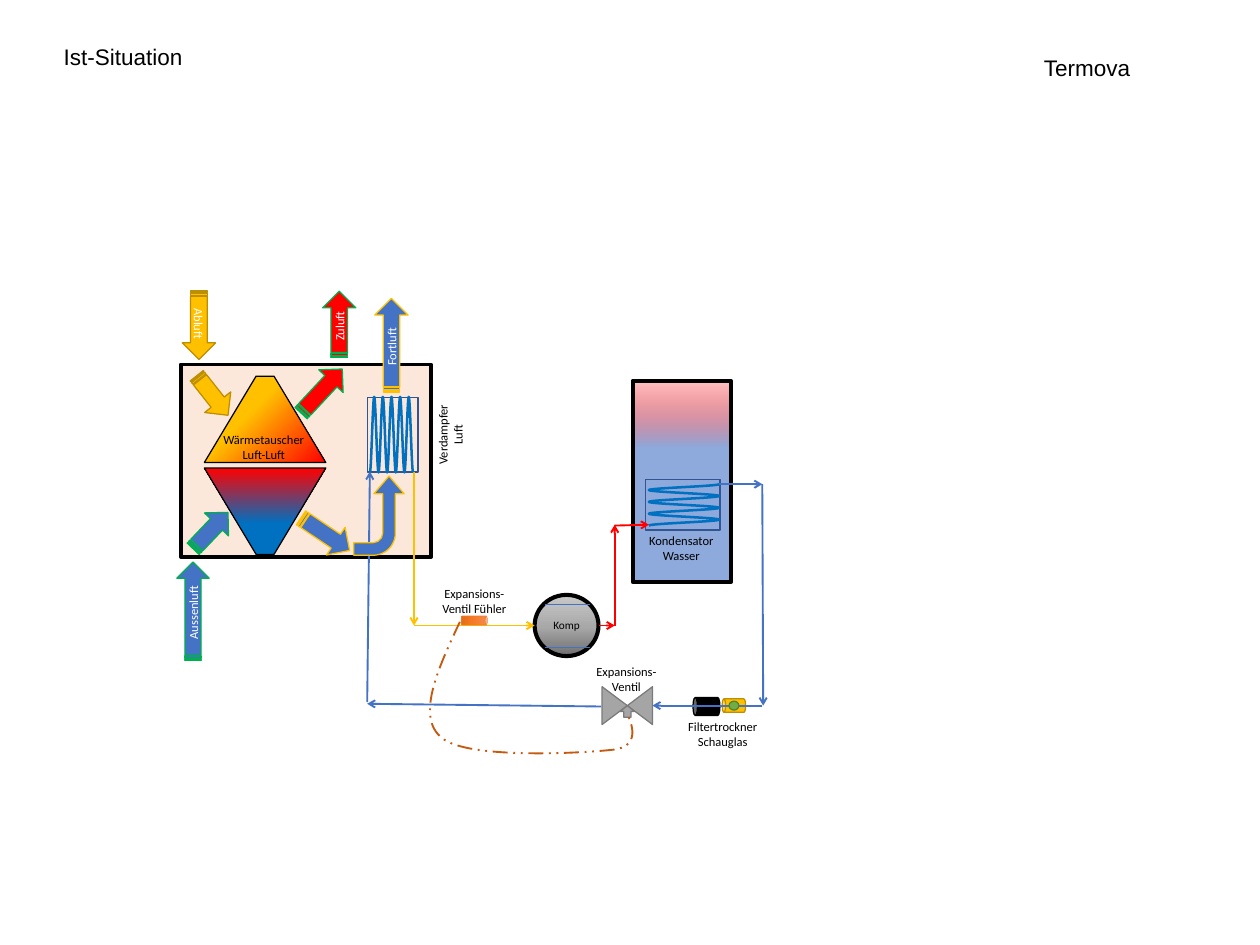
from dataclasses import dataclass

from lxml import etree
from pptx import Presentation
from pptx.dml.color import RGBColor
from pptx.enum.dml import MSO_LINE
from pptx.enum.shapes import MSO_CONNECTOR, MSO_SHAPE
from pptx.enum.text import MSO_ANCHOR, PP_ALIGN
from pptx.oxml.ns import qn
from pptx.util import Inches, Pt

RECT, OVAL, CAN = MSO_SHAPE.RECTANGLE, MSO_SHAPE.OVAL, MSO_SHAPE.CAN
CONE, TRAP = MSO_SHAPE.ISOSCELES_TRIANGLE, MSO_SHAPE.TRAPEZOID
AIR, BEND, DOWN = MSO_SHAPE.STRIPED_RIGHT_ARROW, MSO_SHAPE.BENT_ARROW, MSO_SHAPE.DOWN_ARROW
STRAIGHT = MSO_CONNECTOR.STRAIGHT
DASH = MSO_LINE.DASH_DOT_DOT
LEFT, MID, CENTER = PP_ALIGN.LEFT, MSO_ANCHOR.MIDDLE, PP_ALIGN.CENTER


@dataclass(frozen=True)
class Theme:
    black: str = "000000"
    white: str = "FFFFFF"
    blue: str = "4472C4"
    navy: str = "325491"
    coil: str = "0070C0"
    red: str = "FF0000"
    gold: str = "FFC000"
    ochre: str = "BD8E00"
    green: str = "00B050"
    grey: str = "A5A5A5"
    steel: str = "7A7A7A"
    rust: str = "C55A11"
    body: str = "Calibri"
    head: str = "Arial"
    tiny: float = 9
    small: float = 10
    large: float = 18


T = Theme()


@dataclass(frozen=True)
class Stop:
    place: int
    color: str
    alpha: int = 100


@dataclass(frozen=True)
class Blend:
    angle: int
    stops: tuple[Stop, ...]


@dataclass(frozen=True)
class Part:
    kind: int
    box: tuple
    fill: str | Blend | None
    line: str = T.black
    width: float = 1
    turn: float = 0
    text: str = ""
    size: float = T.small
    ink: str = T.white
    adjust: tuple = ()
    alpha: int = 100
    flip: bool = False


@dataclass(frozen=True)
class Pipe:
    start: tuple
    end: tuple
    color: str
    width: float = 1.5
    arrow: bool = True


@dataclass(frozen=True)
class Curve:
    """points: the start, then two handles and an end for each bend."""
    box: tuple
    points: list
    color: str
    width: float = 2
    dash: int | None = None


@dataclass(frozen=True)
class Label:
    box: tuple
    lines: tuple
    turn: float = 0
    font: str = T.body
    size: float = T.small
    align: int = CENTER


def coil(box: tuple, turns: int, upright: bool) -> Curve:
    """Even half turns, swinging between two opposite sides of the box."""
    x, y, w, h = box
    points = [(0, 0)]
    for i in range(turns):
        old, new = i % 2, (i + 1) % 2
        points += [((i + 1 / 3) / turns, old), ((i + 2 / 3) / turns, new), ((i + 1) / turns, new)]
    if upright:
        spots = [(x + w * (1 - along), y + h * (1 - side)) for along, side in points]
    else:
        spots = [(x + w * side, y + h * (1 - along)) for along, side in points]
    return Curve(box, spots, T.coil)


def duct(box: tuple, turn: float, fill: str, line: str, text: str = "") -> Part:
    return Part(AIR, box, fill, line, turn=turn, text=text)


def set_alpha(color, alpha: int) -> None:
    if alpha < 100:
        etree.SubElement(color, qn("a:alpha"), val=str(alpha * 1000))


def paint(shape, fill: str | Blend | None, alpha: int) -> None:
    if fill is None:
        shape.fill.background()
    elif isinstance(fill, Blend):
        shape.fill.gradient()
        shape.fill.gradient_angle = -fill.angle % 360
        stops = shape.element.spPr.find(".//" + qn("a:gsLst"))
        for old in list(stops):
            stops.remove(old)
        for stop in fill.stops:
            node = etree.SubElement(stops, qn("a:gs"), pos=str(stop.place * 1000))
            set_alpha(etree.SubElement(node, qn("a:srgbClr"), val=stop.color), stop.alpha)
    else:
        shape.fill.solid()
        shape.fill.fore_color.rgb = RGBColor.from_string(fill)
        set_alpha(shape.element.spPr.find(".//" + qn("a:srgbClr")), alpha)


def stroke(shape, color: str, width: float) -> None:
    shape.line.color.rgb = RGBColor.from_string(color)
    shape.line.width = Pt(width)


def write(frame, lines: tuple, font: str, size: float, ink: str, align: int) -> None:
    for i, line in enumerate(lines):
        para = frame.add_paragraph() if i else frame.paragraphs[0]
        para.alignment = align
        run = para.add_run()
        run.text = line
        run.font.name, run.font.size = font, Pt(size)
        run.font.color.rgb = RGBColor.from_string(ink)


def draw_part(shapes, part: Part) -> None:
    shape = shapes.add_shape(part.kind, *map(Inches, part.box))
    shape.shadow.inherit = False
    shape.rotation = part.turn
    for i, value in enumerate(part.adjust):
        shape.adjustments[i] = value
    if part.flip:
        shape.element.spPr.find(qn("a:xfrm")).set("flipV", "1")
    paint(shape, part.fill, part.alpha)
    stroke(shape, part.line, part.width)
    if part.text:
        shape.text_frame.word_wrap = False
        shape.text_frame.vertical_anchor = MID
        write(shape.text_frame, (part.text,), T.body, part.size, part.ink, CENTER)


def draw_pipe(shapes, pipe: Pipe) -> None:
    line = shapes.add_connector(STRAIGHT, *map(Inches, pipe.start + pipe.end))
    stroke(line, pipe.color, pipe.width)
    if pipe.arrow:
        etree.SubElement(line.element.spPr.find(qn("a:ln")), qn("a:tailEnd"), type="arrow")
    etree.SubElement(line.element.spPr, qn("a:effectLst"))


def draw_curve(shapes, curve: Curve) -> None:
    x, y, w, h = map(Inches, curve.box)
    pen = shapes.build_freeform(x, y)
    pen.add_line_segments([(x + w, y), (x + w, y + h), (x, y + h)])
    shape = pen.convert_to_shape()
    shape.shadow.inherit = False
    shape.fill.background()
    stroke(shape, curve.color, curve.width)
    shape.line.dash_style = curve.dash
    route = shape.element.spPr.find(".//" + qn("a:path"))
    for old in list(route):
        route.remove(old)
    for i, (px, py) in enumerate(curve.points):
        if i % 3 == 1 or i == 0:
            step = etree.SubElement(route, qn("a:cubicBezTo" if i else "a:moveTo"))
        etree.SubElement(step, qn("a:pt"), x=str(Inches(px) - x), y=str(Inches(py) - y))


def draw_label(shapes, label: Label) -> None:
    box = shapes.add_textbox(*map(Inches, label.box))
    box.rotation = label.turn
    box.text_frame.word_wrap = True
    write(box.text_frame, label.lines, label.font, label.size, T.black, label.align)


WATER = Blend(90, (Stop(0, "FF3D3D", 84), Stop(1, T.red, 24), Stop(33, "8FAADC")))
METAL = Blend(270, (Stop(0, "6F6F6F"), Stop(48, "A8A8A8"), Stop(100, "C9C9C9")))
PROBE = Blend(90, (Stop(0, "F18C57"), Stop(50, "F67B28"), Stop(100, "E56C19")))
COOL = Blend(90, (Stop(36, T.coil), Stop(100, T.red)))
WARM = Blend(45, (Stop(40, T.gold), Stop(100, T.red)))

SCENE = [
    Part(RECT, (7.03, 4.23, 1.09, 2.24), WATER, width=3),
    Part(RECT, (2.01, 4.05, 2.78, 2.14), "F4B183", width=3, alpha=29),
    Part(CAN, (7.75, 7.7, 0.2, 0.3), T.black, turn=270),
    Part(OVAL, (5.94, 6.61, 0.71, 0.68), METAL, width=3.25, text="Komp", size=T.tiny, ink=T.black),
    *(Pipe((6.05, y), (6.55, y), T.blue, 0.5, False) for y in (6.71, 7.19)),
    Pipe((6.65, 6.95), (6.83, 6.95), T.red),
    Part(RECT, (7.17, 5.33, 0.83, 0.56), None, T.navy),
    coil((7.21, 5.38, 0.78, 0.46), 7, False),
    *(Part(CONE, (x, 7.7, 0.42, 0.28), T.grey, T.steel, turn=turn) for x, turn in ((6.62, 90), (6.9, 270))),
    Pipe((7.99, 5.38), (8.47, 5.38), T.blue),
    Pipe((6.68, 7.85), (4.08, 7.82), T.blue),
    Part(CAN, (8.08, 7.71, 0.15, 0.26), T.gold, T.ochre, turn=270),
    Pipe((8.47, 7.84), (7.25, 7.84), T.blue),
    Pipe((6.83, 6.95), (6.83, 5.83), T.red),
    Pipe((6.83, 5.84), (7.21, 5.83), T.red),
    Part(OVAL, (8.1, 7.79, 0.11, 0.1), "70AD47", "538035", turn=180),
    Part(DOWN, (6.89, 7.84, 0.16, 0.13), T.grey, T.steel, turn=180),
    Part(RECT, (3.95, 4.55, 0.83, 0.56), None, T.navy, turn=270),
    Pipe((4.6, 5.24), (4.6, 6.95), T.gold),
    Pipe((4.6, 6.95), (5.94, 6.95), T.gold),
    Part(CAN, (5.22, 6.75, 0.1, 0.29), PROBE, "ED7D31", 0.5, 90),
    Pipe((8.47, 5.38), (8.48, 7.84), T.blue),
    coil((4.11, 4.41, 0.48, 0.84), 10, True),
    Pipe((4.08, 7.8), (4.11, 5.24), T.blue),
    duct((3.83, 3.65, 1.04, 0.37), 270, T.blue, T.gold, "Fortluft"),
    duct((3.29, 5.75, 0.65, 0.37), 33.9, T.blue, T.gold),
    Part(BEND, (3.77, 5.45, 0.88, 0.56), T.blue, T.gold, turn=270, flip=True, adjust=(0.25, 0.3, 0.35, 0.44)),
    Part(TRAP, (2.27, 5.2, 1.35, 0.96), COOL, turn=180, adjust=(0.6,)),
    Part(TRAP, (2.27, 4.18, 1.35, 0.96), WARM, adjust=(0.6,)),
    duct((2.08, 4.21, 0.56, 0.37), 51.7, T.gold, T.ochre),
    duct((2.06, 5.71, 0.56, 0.37), 313.7, T.blue, T.green),
    duct((3.24, 4.16, 0.67, 0.37), 313, T.red, T.green),
    duct((3.4, 3.42, 0.74, 0.37), 270, T.red, T.green, "Zuluft"),
    duct((1.83, 3.43, 0.76, 0.37), 90, T.gold, T.ochre, "Abluft"),
    Curve((4.78, 6.91, 2.25, 1.46), [
        (5.11, 6.91), (4.86, 7.44), (4.62, 7.97), (4.91, 8.2), (5.19, 8.44),
        (6.48, 8.37), (6.82, 8.33), (7.17, 8.29), (6.97, 7.94), (6.97, 7.94)], T.rust, 1.5, DASH),
    Label((4.53, 4.61, 0.95, 0.44), ("Verdampfer Luft",), 270),
    Label((6.99, 5.87, 1.16, 0.44), ("Kondensator", "Wasser")),
    Label((6.46, 7.33, 1, 0.44), ("Expansions-", "Ventil")),
    Label((7.53, 7.94, 1, 0.44), ("Filtertrockner", "Schauglas")),
    Label((2.35, 4.75, 1.16, 0.44), ("Wärmetauscher", "Luft-Luft")),
    duct((1.6, 6.61, 1.09, 0.36), 270, T.blue, T.green, "Aussenluft"),
    Label((4.77, 6.46, 1, 0.44), ("Expansions-", "Ventil Fühler")),
    Label((0.61, 0.43, 6.24, 0.65), ("Ist-Situation",), 0, T.head, T.large, LEFT),
    Label((11.5, 0.55, 1.82, 0.4), ("Termova",), 0, T.head, T.large, LEFT),
]

DRAW = {Part: draw_part, Pipe: draw_pipe, Curve: draw_curve, Label: draw_label}


def main() -> None:
    deck = Presentation()
    deck.slide_width, deck.slide_height = Inches(14), Inches(10.5)
    slide = deck.slides.add_slide(deck.slide_layouts[6])
    for item in SCENE:
        DRAW[type(item)](slide.shapes, item)
    deck.save("out.pptx")


if __name__ == "__main__":
    main()
